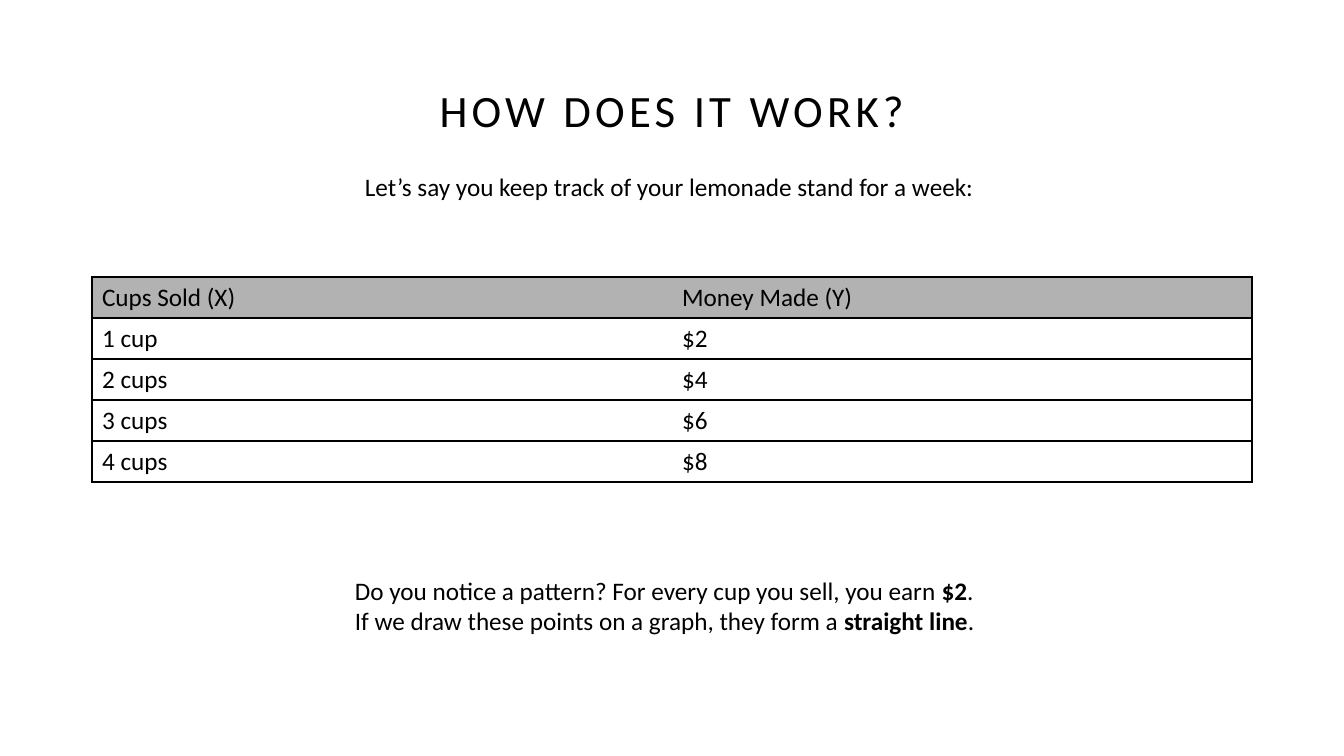
import pptx
import pptx.dml.color
import pptx.enum.text
import pptx.oxml
import pptx.oxml.ns
import pptx.util

PX = 914400 / 100.8
COLORS = {"text": "000000", "line": "000000", "header": "B2B2B2", "row": "FFFFFF"}
MIDDLE = pptx.enum.text.MSO_ANCHOR.MIDDLE


def px(*lengths):
    return [pptx.util.Emu(round(length * PX)) for length in lengths]


def add_text(para, text, size=18, bold=False, spacing=0):
    span = para.add_run()
    span.text = text
    span.font.name = "Calibri"
    span.font.size = pptx.util.Pt(size)
    span.font.bold = bold
    span.font.color.rgb = pptx.dml.color.RGBColor.from_string(COLORS["text"])
    if spacing:
        span._r.get_or_add_rPr().set("spc", str(spacing * 100))


deck = pptx.Presentation()
deck.slide_width, deck.slide_height = px(1344, 756)
page = deck.slides.add_slide(deck.slide_layouts[5])

# Title
title = page.shapes.title
title.left, title.top, title.width, title.height = px(92, 40, 1160, 146)
title.text_frame.auto_size = pptx.enum.text.MSO_AUTO_SIZE.NONE
title.text_frame.vertical_anchor = MIDDLE
heading = title.text_frame.paragraphs[0]
heading.alignment = pptx.enum.text.PP_ALIGN.CENTER
heading.line_spacing = 0.9
add_text(heading, "HOW DOES IT WORK?", size=32, spacing=3)

# Sales table: ruled rows, outer frame, no line between the columns
SALES = [
    ("Cups Sold (X)", "Money Made (Y)"),
    ("1 cup", "$2"),
    ("2 cups", "$4"),
    ("3 cups", "$6"),
    ("4 cups", "$8"),
]
frame = page.shapes.add_table(len(SALES), 2, *px(92, 277, 1160, 205))
table = frame.table
table.first_row = table.horz_banding = False
for row, record in enumerate(SALES):
    for column, value in enumerate(record):
        cell = table.cell(row, column)
        cell.vertical_anchor = MIDDLE
        add_text(cell.text_frame.paragraphs[0], value)
        inner_side = "R" if column == 0 else "L"
        for side in "LRTB":
            paint = "<a:noFill/>"
            if side != inner_side:
                paint = f'<a:solidFill><a:srgbClr val="{COLORS["line"]}"/></a:solidFill>'
            cell._tc.get_or_add_tcPr().append(pptx.oxml.parse_xml(
                f'<a:ln{side} {pptx.oxml.ns.nsdecls("a")} w="12700">{paint}</a:ln{side}>'))
        cell.fill.solid()
        cell.fill.fore_color.rgb = pptx.dml.color.RGBColor.from_string(
            COLORS["row" if row else "header"])

# Sentences above and below the table, as (text, bold) spans
SENTENCES = [
    ((355, 166, 635, 40),
     [("Let’s say you keep track of your lemonade stand for a week:", False)]),
    ((345, 570, 654, 72),
     [("Do you notice a pattern? For every cup you sell, you earn ", False),
      ("$2", True),
      (". If we draw these points on a graph, they form a ", False),
      ("straight line", True),
      (".", False)]),
]
for place, spans in SENTENCES:
    box = page.shapes.add_textbox(*px(*place))
    box.text_frame.word_wrap = True
    box.text_frame.auto_size = pptx.enum.text.MSO_AUTO_SIZE.SHAPE_TO_FIT_TEXT
    for text, bold in spans:
        add_text(box.text_frame.paragraphs[0], text, bold=bold)

deck.save("out.pptx")
